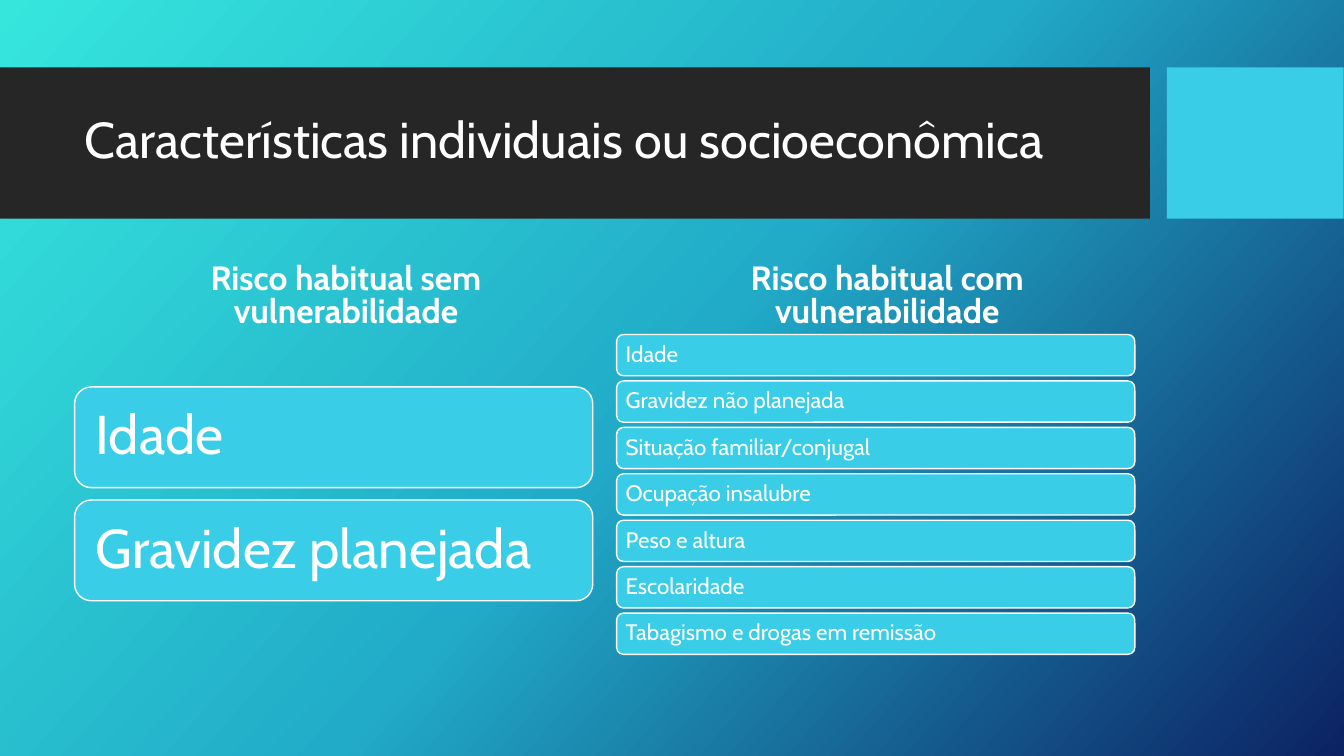
from copy import deepcopy

from pptx import Presentation
from pptx import util as u
from pptx.dml.color import RGBColor
from pptx.enum import shapes, text
from pptx.oxml.ns import qn


def colour(value):
    return RGBColor.from_string(value)


class Deck:
    font = "Cabin"
    ink = "FFFFFF"
    dark = "262626"
    accent = "39CDE7"

    def __init__(self, width, height):
        self.prs = Presentation()
        self.prs.slide_width = u.Cm(width)
        self.prs.slide_height = u.Cm(height)
        self.slide = self.prs.slides.add_slide(self.prs.slide_layouts[5])

    def background(self, hues, angle):
        fill = self.slide.background.fill
        fill.gradient()
        fill.gradient_angle = 360 - angle
        stop_list = next(self.slide.element.iter(qn("a:gsLst")))
        while len(stop_list) < len(hues):
            stop_list.append(deepcopy(stop_list[0]))
        for order, (stop, hue) in enumerate(zip(fill.gradient_stops, hues)):
            stop.position = order / (len(hues) - 1)
            stop.color.rgb = colour(hue)

    def set_words(self, frame, words, size, align, spacing, anchor, bold=False):
        frame.text = words
        frame.word_wrap = True
        frame.auto_size = text.MSO_AUTO_SIZE.NONE
        frame.vertical_anchor = anchor
        paragraph = frame.paragraphs[0]
        paragraph.alignment = align
        paragraph.line_spacing = spacing
        font = paragraph.runs[0].font
        font.name, font.size, font.bold = self.font, u.Pt(size), bold
        font.color.rgb = colour(self.ink)

    def block(self, kind, left, top, width, height, fill):
        shape = self.slide.shapes.add_shape(
            kind, u.Cm(left), u.Cm(top), u.Cm(width), u.Cm(height))
        shape.shadow.inherit = False
        shape.fill.solid()
        shape.fill.fore_color.rgb = colour(fill)
        shape.line.fill.background()
        return shape

    def bar(self, left, width, fill):
        self.block(shapes.MSO_SHAPE.RECTANGLE, left, 1.7, width, 3.81, fill)

    def title(self, words, left, top, width, height):
        title = self.slide.shapes.title
        title.left, title.top = u.Cm(left), u.Cm(top)
        title.width, title.height = u.Cm(width), u.Cm(height)
        self.set_words(title.text_frame, words, 36, text.PP_ALIGN.LEFT, 0.9,
                       text.MSO_ANCHOR.MIDDLE)
        self.slide.shapes.element.append(title.element)

    def heading(self, words, left):
        box = self.slide.shapes.add_textbox(
            u.Cm(left), u.Cm(6.5), u.Cm(12.42), u.Cm(1.93))
        self.set_words(box.text_frame, words, 24, text.PP_ALIGN.CENTER, 0.8,
                       text.MSO_ANCHOR.BOTTOM, bold=True)

    def cards(self, items, left, top, height, pitch, size, inset):
        for row, item in enumerate(items):
            card = self.block(shapes.MSO_SHAPE.ROUNDED_RECTANGLE, left,
                              top + row * pitch, 13.06, height, self.accent)
            card.line.color.rgb = colour(self.ink)
            card.line.width = u.Pt(1)
            frame = card.text_frame
            frame.margin_left = frame.margin_right = u.Cm(inset)
            frame.margin_top = frame.margin_bottom = u.Cm(inset)
            self.set_words(frame, item, size, text.PP_ALIGN.LEFT, 0.9,
                           text.MSO_ANCHOR.MIDDLE)


def main():
    deck = Deck(33.87, 19.05)
    deck.background(["36E6DD", "21ABC8", "0C2263"], 42)
    deck.bar(0, 28.98, deck.dark)
    deck.bar(29.41, 4.45, deck.accent)
    deck.title("Características individuais ou socioeconômica",
               1.88, 2.08, 26.7, 3)

    deck.heading("Risco habitual sem vulnerabilidade", 2.51)
    deck.cards(["Idade", "Gravidez planejada"],
               left=1.88, top=9.75, height=2.54, pitch=2.85,
               size=39, inset=0.41)

    deck.heading("Risco habitual com vulnerabilidade", 16.15)
    deck.cards(["Idade", "Gravidez não planejada",
                "Situação familiar/conjugal", "Ocupação insalubre",
                "Peso e altura", "Escolaridade",
                "Tabagismo e drogas em remissão"],
               left=15.54, top=8.43, height=1.04, pitch=1.17,
               size=16, inset=0.18)

    deck.prs.save("out.pptx")


if __name__ == "__main__":
    main()
